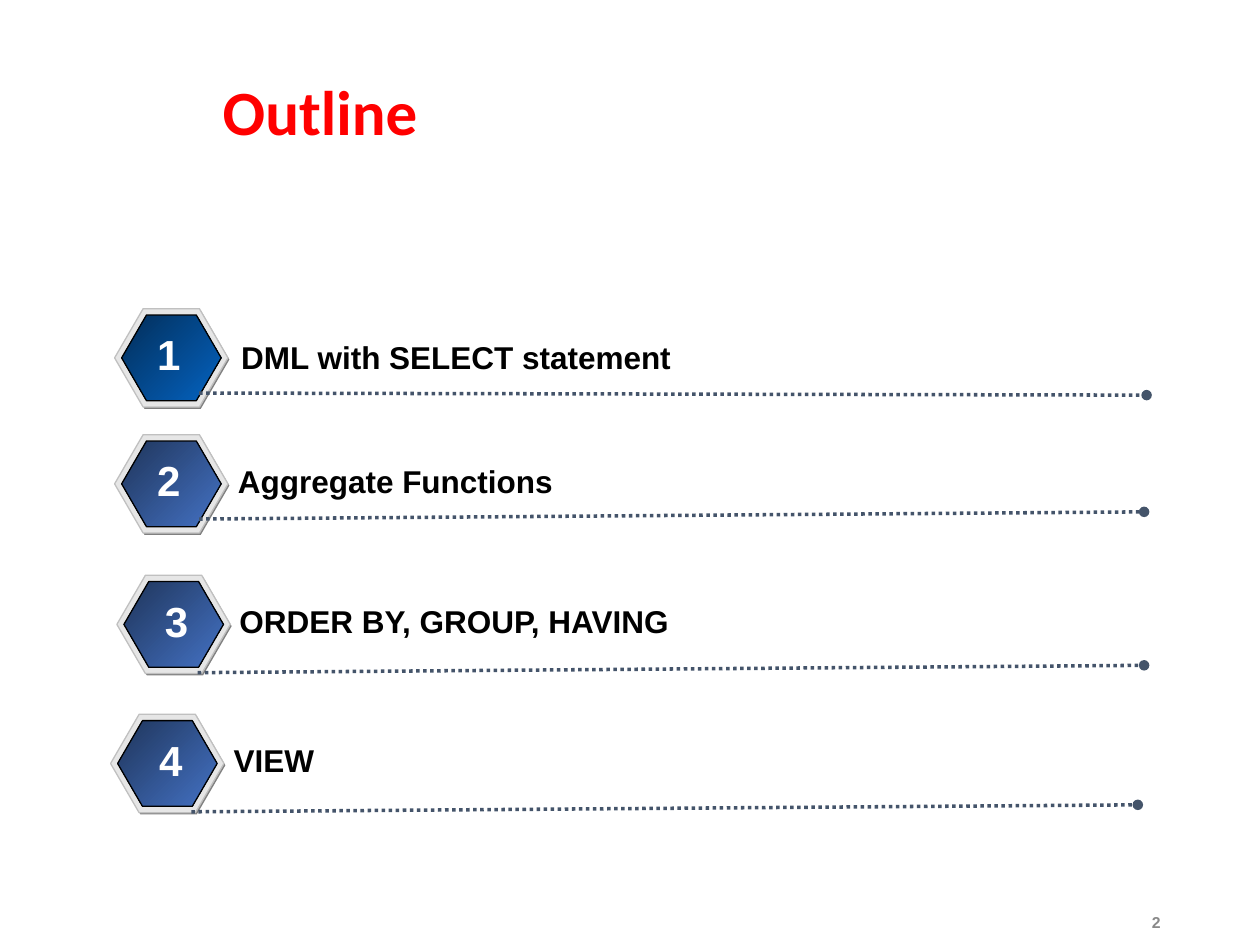
from dataclasses import dataclass

from lxml import etree
from pptx import Presentation
from pptx.dml.color import RGBColor
from pptx.enum import dml, shapes, text
from pptx.oxml import ns
from pptx.util import Pt

COLOURS = {
    "title": "FF0000",
    "label": "000000",
    "number": "FFFFFF",
    "page": "898989",
    "rule": "44546A",
    "shade": "808080",
    "rim": "E6E6E6",
    "rim_edge": "C0C0C0",
    "face_edge": "000000",
    "first_dark": "022E59",
    "first_light": "0563C1",
    "dark": "1F355B",
    "light": "4472C4",
}


def rgb(name):
    return RGBColor.from_string(COLOURS[name])


@dataclass
class OutlineSlide:
    slide: object
    font: str = "Arial"

    def label(self, words, left, top, width, height, size, colour, font=None,
              align=text.PP_ALIGN.LEFT, anchor=text.MSO_ANCHOR.TOP, spacing=None):
        frame = self.slide.shapes.add_textbox(
            Pt(left), Pt(top), Pt(width), Pt(height)).text_frame
        frame.word_wrap = True
        frame.vertical_anchor = anchor
        line = frame.paragraphs[0]
        line.text = words
        line.alignment = align
        line.line_spacing = spacing
        line.font.name = font or self.font
        line.font.size = Pt(size)
        line.font.bold = True
        line.font.color.rgb = rgb(colour)

    def hexagon(self, group, left, top, width, height, edge=None):
        hexagon = group.shapes.add_shape(
            shapes.MSO_SHAPE.HEXAGON, Pt(left), Pt(top), Pt(width), Pt(height))
        hexagon.shadow.inherit = False
        hexagon.adjustments[0] = 0.29
        if edge:
            hexagon.line.color.rgb = rgb(edge)
            hexagon.line.width = Pt(0.75)
        else:
            hexagon.line.fill.background()
        return hexagon.fill

    def badge(self, left, top, dark, light):
        group = self.slide.shapes.add_group_shape()
        shade = self.hexagon(group, left + 0.8, top + 1, 64.8, 56.2)
        shade.solid()
        shade.fore_color.rgb = rgb("shade")
        rim = self.hexagon(group, left, top, 64.8, 56.2, "rim_edge")
        rim.solid()
        rim.fore_color.rgb = rgb("rim")
        face = self.hexagon(group, left + 4, top + 3.6, 56.9, 49, "face_edge")
        face.gradient()
        face.gradient_angle = 315
        for stop, position, colour in zip(face.gradient_stops, (0, 1), (dark, light)):
            stop.position = position
            stop.color.rgb = rgb(colour)

    def rule(self, x1, y1, x2, y2):
        rule = self.slide.shapes.add_connector(
            shapes.MSO_CONNECTOR.STRAIGHT, Pt(x1), Pt(y1), Pt(x2), Pt(y2))
        rule.line.color.rgb = rgb("rule")
        rule.line.width = Pt(2)
        rule.line.dash_style = dml.MSO_LINE.ROUND_DOT
        properties = rule.element.spPr
        etree.SubElement(properties.find(ns.qn("a:ln")), ns.qn("a:tailEnd"), type="oval")
        etree.SubElement(properties, ns.qn("a:effectLst"))

    def topic(self, number, words, badge, rule, label, digit_left,
              dark="dark", light="light"):
        self.badge(*badge, dark, light)
        self.rule(*rule)
        self.label(words, *label, 504, 29, 18, "label")
        self.label(str(number), digit_left, badge[1] + 8, 30, 36, 24, "number",
                   align=text.PP_ALIGN.CENTER)


def main():
    deck = Presentation()
    deck.slide_width, deck.slide_height = Pt(720), Pt(540)
    outline = OutlineSlide(deck.slides.add_slide(deck.slide_layouts[6]))

    outline.label("Outline", 120.2, 28.8, 550, 74.2, 36, "title", font="Calibri",
                  anchor=text.MSO_ANCHOR.MIDDLE, spacing=0.9)
    outline.topic(1, "DML with SELECT statement", (65.5, 176.4),
                  (113.8, 224.6, 655.2, 225.8), (130.8, 189.7), 81.4,
                  "first_dark", "first_light")
    outline.topic(2, "Aggregate Functions", (65.5, 248.4),
                  (113.8, 296.6, 653.8, 292.5), (128.9, 260.6), 81.4)
    outline.topic(3, "ORDER BY, GROUP, HAVING", (66.8, 328.7),
                  (113, 384.4, 653.8, 380.2), (129.8, 340.6), 85.9)
    outline.topic(4, "VIEW", (63.2, 408.2),
                  (109.4, 463.9, 650.2, 459.9), (126.4, 420), 82.6)
    outline.label("2", 508.3, 514, 162, 26, 9, "page",
                  align=text.PP_ALIGN.RIGHT, anchor=text.MSO_ANCHOR.MIDDLE)

    deck.save("out.pptx")


if __name__ == "__main__":
    main()
